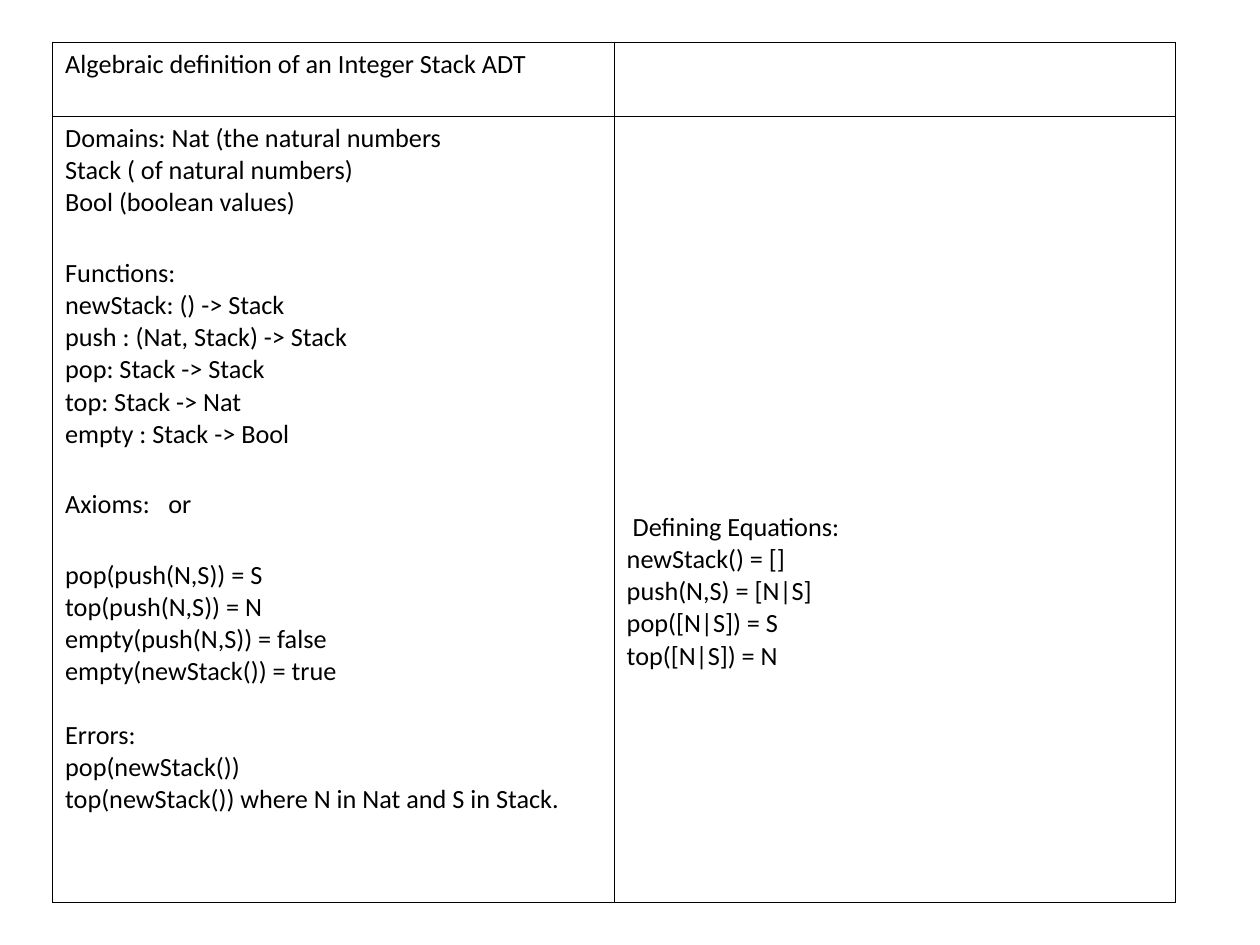
from dataclasses import dataclass

from lxml.etree import SubElement
from pptx import Presentation
from pptx.dml.color import RGBColor
from pptx.oxml.ns import qn
from pptx.util import Cm, Length, Pt

BLACK = RGBColor(0x00, 0x00, 0x00)
FONT = "Calibri"
TEXT_SIZE = Pt(15)
BORDER = Pt(0.75)
WIDE_GAP = 22
LINE_GAP = 18


@dataclass(frozen=True)
class Line:
    text: str
    gap: float = 0  # points above the line
    indent: Length = Cm(0)
    tab: Length = Cm(0)


@dataclass(frozen=True)
class CellText:
    row: int
    col: int
    lines: tuple[Line, ...] = ()
    top: Length = Cm(0.13)


CELLS = (
    CellText(0, 0, (Line("Algebraic definition of an Integer Stack ADT"),)),
    CellText(0, 1),
    CellText(1, 0, (
        Line("Domains: Nat (the natural numbers"),
        Line("Stack ( of natural numbers)"),
        Line("Bool (boolean values)"),
        Line("Functions:", WIDE_GAP),
        Line("newStack: () -> Stack"),
        Line("push : (Nat, Stack) -> Stack"),
        Line("pop: Stack -> Stack"),
        Line("top: Stack -> Nat"),
        Line("empty : Stack -> Bool"),
        Line("Axioms:\tor", WIDE_GAP, tab=Cm(2.08)),
        Line("pop(push(N,S)) = S", WIDE_GAP),
        Line("top(push(N,S)) = N"),
        Line("empty(push(N,S)) = false"),
        Line("empty(newStack()) = true"),
        Line("Errors:", LINE_GAP),
        Line("pop(newStack())"),
        Line("top(newStack()) where N in Nat and S in Stack."),
    )),
    CellText(1, 1, (
        Line("Defining Equations:", indent=Cm(0.12)),
        Line("newStack() = []"),
        Line("push(N,S) = [N|S]"),
        Line("pop([N|S]) = S"),
        Line("top([N|S]) = N"),
    ), top=Cm(7.97)),
)


def style_line(p, line: Line) -> None:
    p.space_before = Pt(line.gap)
    pPr = p._p.get_or_add_pPr()
    if line.indent:
        pPr.set("marL", str(int(line.indent)))
    if line.tab:
        tabs = SubElement(pPr, qn("a:tabLst"))
        SubElement(tabs, qn("a:tab"), pos=str(int(line.tab)), algn="l")
    for r in p.runs:
        r.font.name = FONT
        r.font.size = TEXT_SIZE
        r.font.color.rgb = BLACK


def add_borders(cell) -> None:
    tcPr = cell._tc.get_or_add_tcPr()
    for side in ("lnL", "lnR", "lnT", "lnB"):
        ln = SubElement(tcPr, qn(f"a:{side}"), w=str(int(BORDER)))
        fill = SubElement(ln, qn("a:solidFill"))
        SubElement(fill, qn("a:srgbClr"), val=str(BLACK))


def fill_cell(cell, content: CellText) -> None:
    add_borders(cell)
    cell.fill.background()
    cell.margin_top = content.top
    tf = cell.text_frame
    tf.text = "\n".join(line.text for line in content.lines)
    for p, line in zip(tf.paragraphs, content.lines):
        style_line(p, line)


def main() -> None:
    prs = Presentation()
    prs.slide_width, prs.slide_height = Cm(25.4), Cm(19.05)
    s = prs.slides.add_slide(prs.slide_layouts[6])
    table = s.shapes.add_table(2, 2, Cm(1.06), Cm(0.85), Cm(22.64), Cm(17.34)).table
    table.first_row = table.horz_banding = False
    table.rows[0].height = Cm(1.49)
    table.rows[1].height = Cm(15.85)
    for content in CELLS:
        fill_cell(table.cell(content.row, content.col), content)
    prs.save("out.pptx")


if __name__ == "__main__":
    main()
